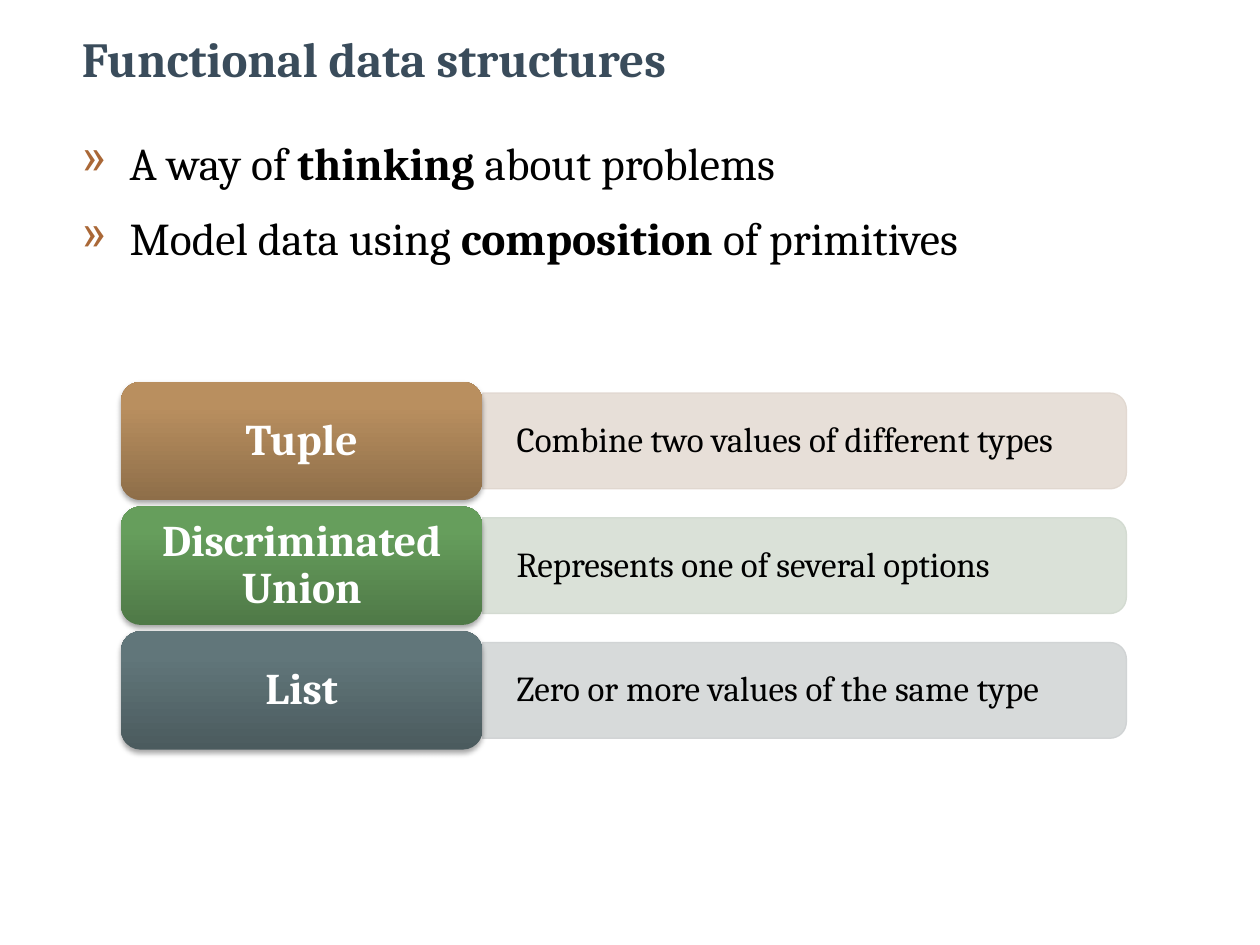
from dataclasses import dataclass
from math import cos, pi, sin

from lxml.etree import SubElement
from pptx import Presentation
from pptx.dml.color import RGBColor
from pptx.enum.shapes import MSO_SHAPE as Shape
from pptx.enum.text import MSO_ANCHOR as Anchor, PP_ALIGN as Align
from pptx.oxml.ns import qn
from pptx.util import Inches, Pt


@dataclass(frozen=True)
class Theme:
    """Fonts, type sizes in points and colours of the deck."""
    font: str = "Cambria"
    title_size: int = 28
    bullet_size: int = 26
    label_size: int = 25
    detail_size: int = 20
    title: str = "3A4C5B"
    text: str = "000000"
    bullet: str = "AA6837"
    label: str = "FFFFFF"
    shadow: str = "000000"


@dataclass(frozen=True)
class Structure:
    """A data structure, its description and its colours."""
    name: str
    detail: str
    bottom: str
    top: str
    tint: str
    outline: str


STRUCTURES = [
    Structure("Tuple", "Combine two values of different types",
              "8E6E49", "B98F5F", "E5DCD4", "E0D7CF"),
    Structure("Discriminated Union", "Represents one of several options",
              "4F7947", "669E5C", "D6DED4", "D1D9CF"),
    Structure("List", "Zero or more values of the same type",
              "4B5B5E", "61767A", "D3D6D7", "CED1D2"),
]
BULLETS = [
    ("A way of ", "thinking ", "about problems"),
    ("Model data using ", "composition ", "of primitives"),
]


class SlideBuilder:
    """Adds styled elements to the current slide."""

    def __init__(self, slide, theme):
        self.slide = slide
        self.theme = theme

    def style(self, paragraph, size, color, bold=None):
        """Set the font of a whole paragraph."""
        font = paragraph.font
        font.name, font.size, font.bold = self.theme.font, Pt(size), bold
        font.color.rgb = RGBColor.from_string(color)

    def title(self, text, left, top, width, height):
        """Place and format the title placeholder."""
        shape = self.slide.shapes.title
        shape.left, shape.top = Inches(left), Inches(top)
        shape.width, shape.height = Inches(width), Inches(height)
        frame = shape.text_frame
        frame.text = text
        frame.vertical_anchor = Anchor.MIDDLE
        paragraph = frame.paragraphs[0]
        paragraph.alignment = Align.LEFT
        self.style(paragraph, self.theme.title_size, self.theme.title, True)

    def bullets(self, items, left, top, width, height):
        """Add a bulleted list whose middle run is bold."""
        shape = self.slide.shapes.add_textbox(
            Inches(left), Inches(top), Inches(width), Inches(height))
        frame = shape.text_frame
        frame.word_wrap = True
        for index, parts in enumerate(items):
            paragraph = frame.add_paragraph() if index else frame.paragraphs[0]
            properties = paragraph._p.get_or_add_pPr()
            properties.set("marL", str(Inches(0.38)))
            properties.set("indent", str(Inches(-0.38)))
            color = SubElement(properties, qn("a:buClr"))
            SubElement(color, qn("a:srgbClr"), val=self.theme.bullet)
            SubElement(properties, qn("a:buChar"), char="»")
            paragraph.space_before = Pt(12)
            self.style(paragraph, self.theme.bullet_size, self.theme.text)
            for position, part in enumerate(parts):
                run = paragraph.add_run()
                run.text = part
                run.font.bold = position == 1

    def caption(self, shape, text, size, color, insets, bold=None, align=Align.LEFT):
        """Write one vertically centred paragraph in a shape."""
        frame = shape.text_frame
        frame.text = text
        frame.word_wrap = True
        frame.vertical_anchor = Anchor.MIDDLE
        frame.margin_left, frame.margin_top, frame.margin_right, frame.margin_bottom = (
            Inches(inset) for inset in insets)
        paragraph = frame.paragraphs[0]
        paragraph.alignment = align
        paragraph.line_spacing = 0.9
        self.style(paragraph, size, color, bold)

    def detail(self, structure, left, top, width, height, radius=0.13, steps=8):
        """Add a translucent panel with rounded right corners."""
        right, bottom = left + width, top + height
        angles = [pi / 2 * step / steps for step in range(steps + 1)]
        upper = [(right - radius + radius * sin(angle), top + radius - radius * cos(angle))
                 for angle in angles]
        lower = [(x, top + bottom - y) for x, y in reversed(upper)]
        builder = self.slide.shapes.build_freeform(Inches(left), Inches(top))
        builder.add_line_segments(
            [(Inches(x), Inches(y)) for x, y in upper + lower + [(left, bottom)]])
        shape = builder.convert_to_shape()
        shape.shadow.inherit = False
        shape.fill.solid()
        shape.fill.fore_color.rgb = RGBColor.from_string(structure.tint)
        shape.line.color.rgb = RGBColor.from_string(structure.outline)
        shape.line.width = Pt(0.75)
        for color in shape._element.spPr.iter(qn("a:srgbClr")):
            SubElement(color, qn("a:alpha"), val="90000")
        self.caption(shape, structure.detail, self.theme.detail_size, self.theme.text,
                     (0.27, 0.08, 0.12, 0.08))

    def label(self, structure, left, top, width, height):
        """Add a rounded gradient label with a soft shadow."""
        shape = self.slide.shapes.add_shape(
            Shape.ROUNDED_RECTANGLE,
            Inches(left), Inches(top), Inches(width), Inches(height))
        shape.fill.gradient()
        shape.fill.gradient_angle = 90
        stops = zip(shape.fill.gradient_stops, (0, 0.8), (structure.bottom, structure.top))
        for stop, position, color in stops:
            stop.position = position
            stop.color.rgb = RGBColor.from_string(color)
        shape.line.fill.background()
        shape.shadow.inherit = False
        effects = shape._element.spPr.find(qn("a:effectLst"))
        shadow = SubElement(effects, qn("a:outerShdw"), blurRad=str(Pt(3.1)),
                            dist=str(Pt(1.8)), dir="5400000", rotWithShape="0")
        color = SubElement(shadow, qn("a:srgbClr"), val=self.theme.shadow)
        SubElement(color, qn("a:alpha"), val="35000")
        self.caption(shape, structure.name, self.theme.label_size, self.theme.label,
                     (0.15, 0.1, 0.15, 0.1), True, Align.CENTER)


def main():
    """Build the slide and save it."""
    presentation = Presentation()
    presentation.slide_width, presentation.slide_height = Inches(10), Inches(7.5)
    slide = presentation.slides.add_slide(presentation.slide_layouts[5])
    builder = SlideBuilder(slide, Theme())
    builder.title("Functional data structures", 0.55, 0, 9.02, 0.92)
    builder.bullets(BULLETS, 0.55, 1.02, 9.02, 5.52)
    for row, structure in enumerate(STRUCTURES):
        top = 3.03 + 0.99 * row
        builder.detail(structure, 3.83, top + 0.09, 5.11, 0.76)
        builder.label(structure, 0.96, top, 2.87, 0.94)
    presentation.save("out.pptx")


if __name__ == "__main__":
    main()
